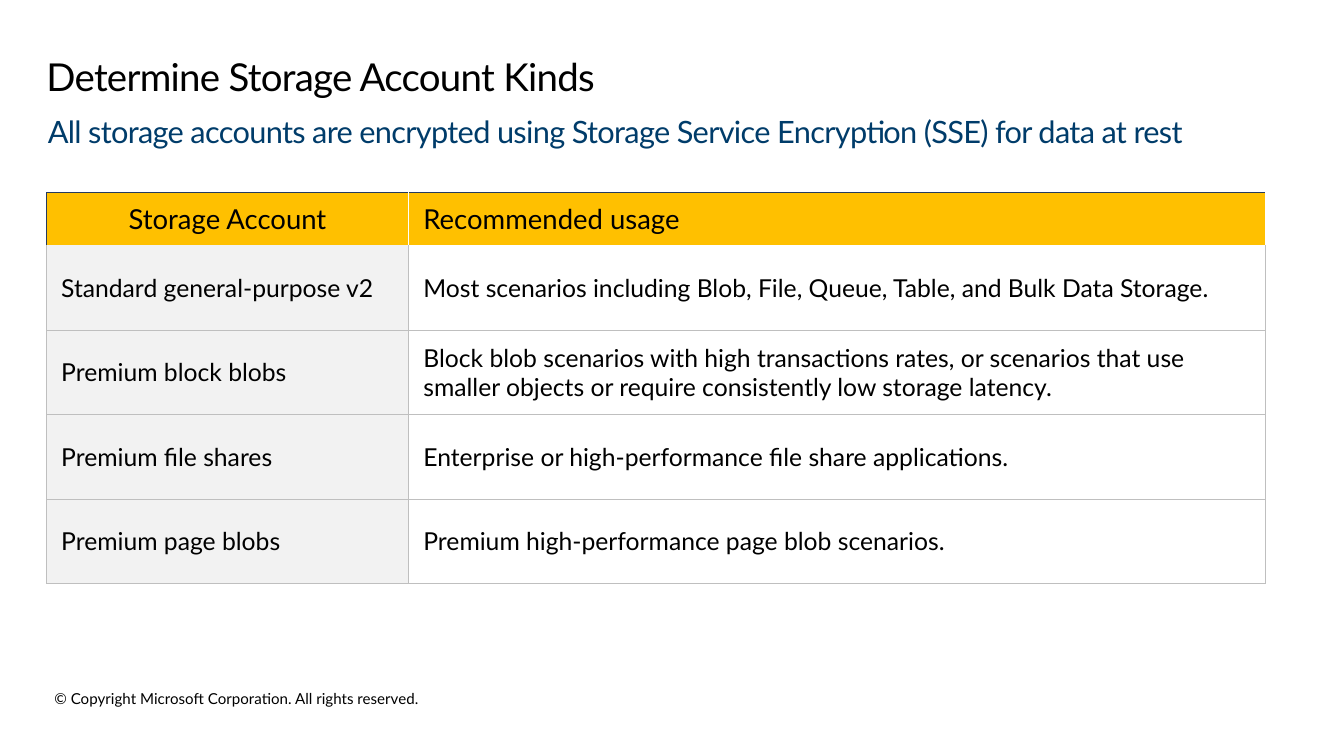
from dataclasses import dataclass

from lxml import etree
from pptx import Presentation
from pptx.dml.color import RGBColor
from pptx.enum import text as txt
from pptx.oxml import ns
from pptx.util import Pt


@dataclass(frozen=True)
class Theme:
    """Colours, type sizes and font of the slide."""
    font: str = "Lato"
    ink: str = "000000"
    blue: str = "003C6A"
    navy: str = "243A5E"
    gold: str = "FFC000"
    pale: str = "F2F2F2"
    white: str = "FFFFFF"
    grey: str = "BFBFBF"
    title: float = 28
    lead: float = 22.4
    head: float = 20
    body: float = 18
    foot: float = 11


T = Theme()
HEADS = ("Storage Account", "Recommended usage")
KINDS = (
    ("Standard general-purpose v2",
     "Most scenarios including Blob, File, Queue, Table, and Bulk Data Storage."),
    ("Premium block blobs",
     "Block blob scenarios with high transactions rates, or scenarios that use "
     "smaller objects or require consistently low storage latency."),
    ("Premium file shares",
     "Enterprise or high-performance file share applications."),
    ("Premium page blobs",
     "Premium high-performance page blob scenarios."),
)


def add_run(para, words, size, color=T.ink, track=0):
    """Add one styled run to a paragraph."""
    run = para.add_run()
    run.text = words
    font = run.font
    font.name, font.size, font.bold = T.font, Pt(size), False
    font.color.rgb = RGBColor.from_string(color)
    if track:
        run._r.get_or_add_rPr().set("spc", str(round(track * 100)))


def set_pads(area, side, edge):
    """Set equal side and equal top and bottom margins."""
    area.margin_left = area.margin_right = Pt(side)
    area.margin_top = area.margin_bottom = Pt(edge)


def add_line(slide, box, words, size, color=T.ink, track=0, pads=(0, 0), lead=1.0, wrap=True):
    """Place one line of text in a box."""
    frame = slide.shapes.add_textbox(*map(Pt, box)).text_frame
    frame.word_wrap = wrap
    set_pads(frame, *pads)
    para = frame.paragraphs[0]
    para.line_spacing = lead
    add_run(para, words, size, color, track)


def add_edges(cell, edges):
    """Draw the borders of a cell, with None for no line."""
    props = cell._tc.get_or_add_tcPr()
    for spot, (side, color) in enumerate(edges.items()):
        line = etree.Element(ns.qn(f"a:ln{side}"), w=str(Pt(0.5)))
        if color:
            fill = etree.SubElement(line, ns.qn("a:solidFill"))
            etree.SubElement(fill, ns.qn("a:srgbClr"), val=color)
        else:
            etree.SubElement(line, ns.qn("a:noFill"))
        props.insert(spot, line)


def add_top(slide, box):
    """Place the title and the subtitle."""
    x, y, w, h = box
    add_line(slide, (x, y, w, 52), "Determine Storage Account Kinds",
             T.title, track=-0.5, pads=(0, 7.2), lead=0.9)
    add_line(slide, (x + 1, y + 43.2, w, h - 43.2),
             "All storage accounts are encrypted using Storage Service "
             "Encryption (SSE) for data at rest",
             T.lead, T.blue, track=-0.5, pads=(0, 3.6))


def add_grid(slide, box):
    """Place the table of storage account kinds."""
    x, y, w, h = box
    rows = (HEADS, *KINDS)
    grid = slide.shapes.add_table(len(rows), len(HEADS), *map(Pt, box)).table
    grid.horz_banding = False
    first, top = 263.9, 36.7
    for col, width in zip(grid.columns, (first, w - first)):
        col.width = Pt(width)
    for i, row in enumerate(grid.rows):
        row.height = Pt((h - top) / len(KINDS) if i else top)
    for i, line in enumerate(rows):
        for j, words in enumerate(line):
            cell = grid.cell(i, j)
            cell.vertical_anchor = txt.MSO_ANCHOR.MIDDLE
            set_pads(cell, 10.8, 7.2)
            cell.fill.solid()
            color = (T.white if j else T.pale) if i else T.gold
            cell.fill.fore_color.rgb = RGBColor.from_string(color)
            para = cell.text_frame.paragraphs[0]
            if i == j == 0:
                para.alignment = txt.PP_ALIGN.CENTER
            add_run(para, words, T.body if i else T.head)
            if i:
                above = T.grey if i > 1 else None
                edges = dict(L=T.grey, R=T.grey, T=above, B=T.grey)
            else:
                edges = dict(L=T.white if j else T.navy, R=T.white, T=T.navy, B=None)
            add_edges(cell, edges)


def add_foot(slide, box):
    """Place the copyright line."""
    add_line(slide, box, "© Copyright Microsoft Corporation. All rights reserved.",
             T.foot, pads=(14.4, 11.5), lead=0.9, wrap=False)


def main():
    """Build and save the slide."""
    deck = Presentation()
    deck.slide_width, deck.slide_height = Pt(979.2), Pt(550.8)
    slide = deck.slides.add_slide(deck.slide_layouts[6])
    add_top(slide, (33.8, 35.3, 910.8, 77.8))
    add_grid(slide, (33.8, 140.4, 888.1, 283.2))
    add_foot(slide, (25.2, 497.5, 298.8, 35.3))
    deck.save("out.pptx")


if __name__ == "__main__":
    main()
